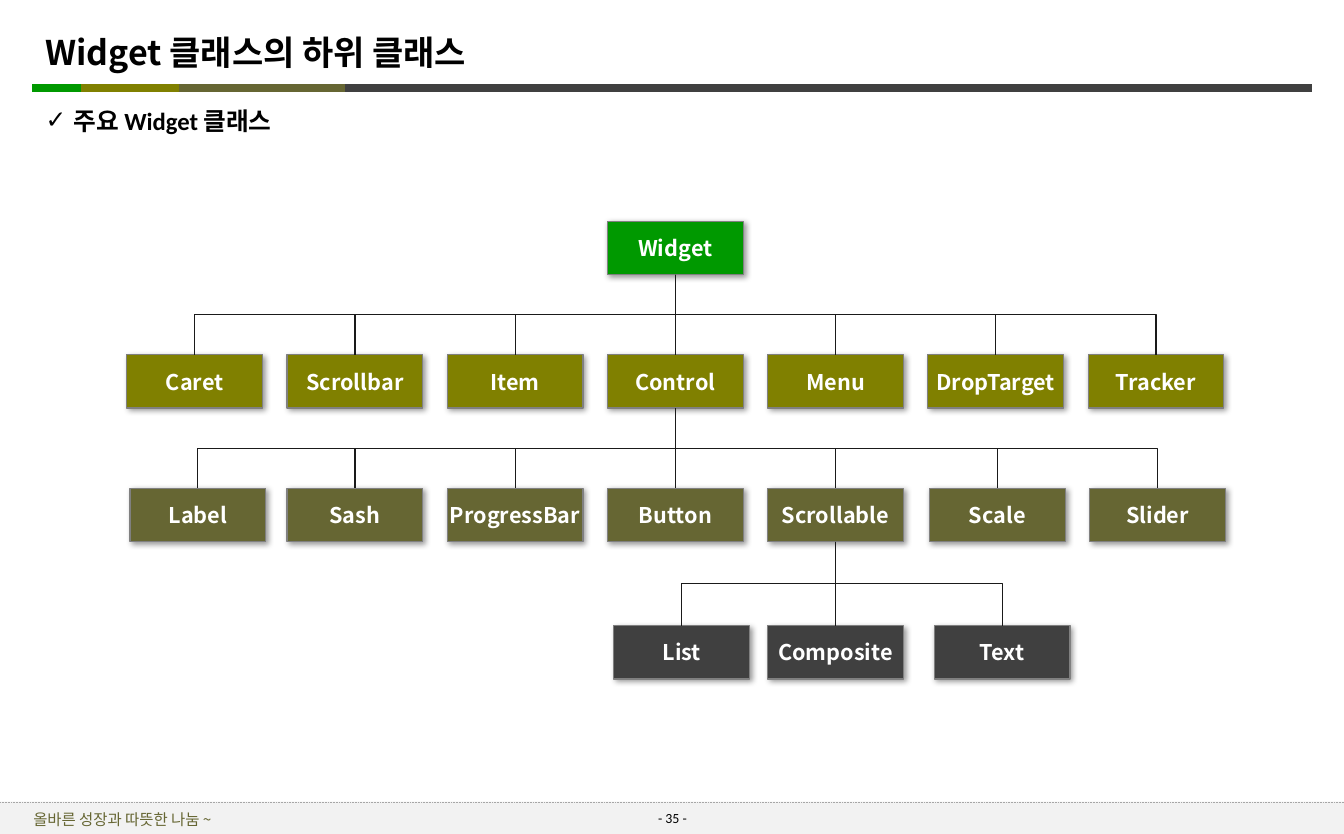
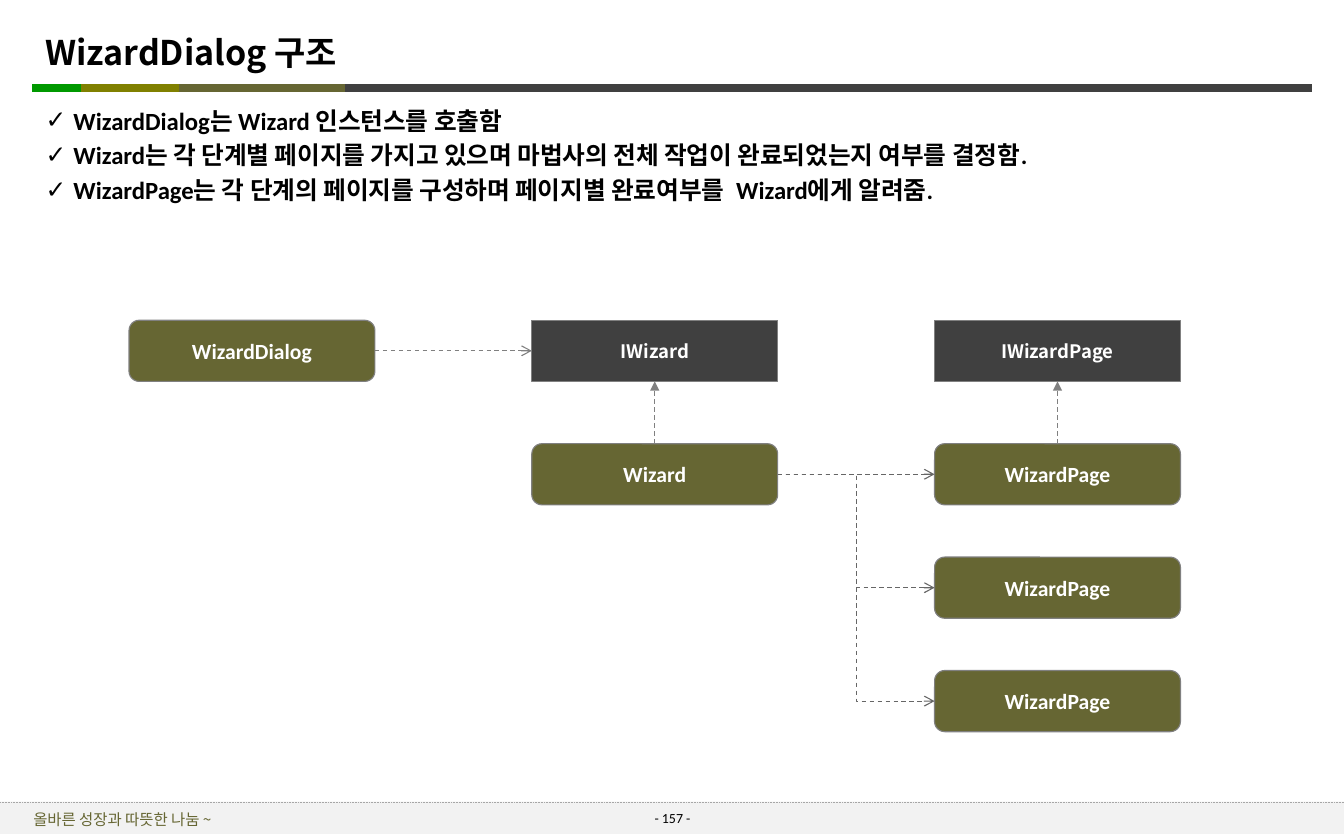
"""Build two slides on a widget class tree and a wizard dialog structure."""
from dataclasses import dataclass
from typing import Any

import pptx
import pptx.dml.color
import pptx.enum.dml
import pptx.enum.shapes
import pptx.enum.text
import pptx.oxml.ns
import pptx.util
from lxml import etree

RGB = pptx.dml.color.RGBColor
SHAPE = pptx.enum.shapes.MSO_SHAPE
LINK = pptx.enum.shapes.MSO_CONNECTOR
DASH = pptx.enum.dml.MSO_LINE
ALIGN = pptx.enum.text.PP_ALIGN
ANCHOR = pptx.enum.text.MSO_ANCHOR
AUTOSIZE = pptx.enum.text.MSO_AUTO_SIZE
qn = pptx.oxml.ns.qn
Inches = pptx.util.Inches
Pt = pptx.util.Pt

BLACK = RGB(0x00, 0x00, 0x00)
WHITE = RGB(0xFF, 0xFF, 0xFF)
GREEN = RGB(0x00, 0x99, 0x00)
OLIVE = RGB(0x80, 0x80, 0x00)
MOSS = RGB(0x66, 0x66, 0x33)
CHARCOAL = RGB(0x40, 0x40, 0x40)
INK = RGB(0x1A, 0x1A, 0x1A)
DIM_GRAY = RGB(0x66, 0x66, 0x66)
GRAY = RGB(0x80, 0x80, 0x80)
SILVER = RGB(0xA6, 0xA6, 0xA6)
PALE = RGB(0xF2, 0xF2, 0xF2)

LATIN = "Calibri"
KOREAN = "Noto Sans CJK KR"
WIDTH, HEIGHT = 12.08, 7.5
BAND_Y = 0.79
FOOTER_Y = 7.22
TOP, LEFT, BOTTOM, RIGHT = range(4)

TREE_LEFT, TREE_TOP, TREE_COL, TREE_ROW = 1.14, 1.99, 1.44, 1.2
TREE_BOX = (1.22, 0.48)
WIZARD_COLS = (1.16, 4.78, 8.4)
WIZARD_ROWS = (2.88, 3.99, 5.01, 6.03)
WIZARD_BOX = (2.21, 0.55)


@dataclass(frozen=True)
class Band:
    """A coloured stretch of the rule under the title."""
    start: float
    end: float
    color: RGB


@dataclass(frozen=True)
class Level:
    """A row of the class tree, with a column for each class."""
    row: float
    color: RGB
    parent: str
    classes: dict[str, float]


@dataclass(frozen=True)
class Part:
    """A box of the wizard structure."""
    name: str
    col: int
    row: int
    interface: bool = False


BANDS = (
    Band(2.98, 11.79, CHARCOAL),
    Band(0.29, 1.09, GREEN),
    Band(0.73, 1.66, OLIVE),
    Band(1.61, 3.1, MOSS),
)
LEVELS = (
    Level(0, GREEN, "", {"Widget": 3}),
    Level(1, OLIVE, "Widget", {
        "Caret": 0, "Scrollbar": 1, "Item": 2, "Control": 3,
        "Menu": 4, "DropTarget": 5, "Tracker": 6}),
    Level(2, MOSS, "Control", {
        "Label": 0.02, "Sash": 1, "ProgressBar": 2, "Button": 3,
        "Scrollable": 4, "Scale": 5.01, "Slider": 6.01}),
    Level(3.03, CHARCOAL, "Scrollable", {"List": 3.04, "Composite": 4, "Text": 5.04}),
)
PARTS = (
    Part("WizardDialog", 0, 0),
    Part("IWizard", 1, 0, True),
    Part("IWizardPage", 2, 0, True),
    Part("Wizard", 1, 1),
    Part("WizardPage", 2, 1),
    Part("WizardPage", 2, 2),
    Part("WizardPage", 2, 3),
)


def write(tf: Any, *lines: str, size: float, font: str = LATIN, color: RGB = BLACK,
          bold: bool = False, align: Any = ALIGN.CENTER, anchor: Any = ANCHOR.MIDDLE,
          inset: tuple[float, float] = (0.1, 0.05), wrap: bool = True,
          bullet: str = "", spacing: float | None = None) -> None:
    """Fill a text frame with one paragraph per line."""
    tf.word_wrap = wrap
    tf.auto_size = AUTOSIZE.NONE
    tf.vertical_anchor = anchor
    tf.margin_left = tf.margin_right = Inches(inset[0])
    tf.margin_top = tf.margin_bottom = Inches(inset[1])
    for i, line in enumerate(lines):
        p = tf.add_paragraph() if i else tf.paragraphs[0]
        if bullet:
            pPr = p._p.get_or_add_pPr()
            pPr.set("marL", str(Inches(0.25)))
            pPr.set("indent", str(-Inches(0.25)))
            clr = etree.SubElement(pPr, qn("a:buClr"))
            etree.SubElement(clr, qn("a:srgbClr"), val=str(color))
            etree.SubElement(pPr, qn("a:buChar"), char=bullet)
        p.alignment = align
        p.space_before = Pt(0.2 * size if i else 0)
        if spacing:
            p.line_spacing = spacing
        r = p.add_run()
        r.text = line
        r.font.size = Pt(size)
        r.font.bold = bold
        r.font.color.rgb = color
        r.font.name = font
        etree.SubElement(r._r.get_or_add_rPr(), qn("a:ea"), typeface=font)


def place(sp: Any, x: float, y: float, w: float, h: float) -> None:
    """Put a shape at a position given in inches."""
    sp.left, sp.top, sp.width, sp.height = map(Inches, (x, y, w, h))


def add_box(s: Any, kind: Any, x: float, y: float, w: float, h: float,
            fill: RGB, line: RGB | None = None, shadow: bool = False) -> Any:
    """Add a filled shape, optionally outlined and shadowed."""
    sp = s.shapes.add_shape(kind, *map(Inches, (x, y, w, h)))
    sp.fill.solid()
    sp.fill.fore_color.rgb = fill
    if line is None:
        sp.line.fill.background()
    else:
        sp.line.color.rgb = line
        sp.line.width = Pt(0.75)
    sp.shadow.inherit = False
    if shadow:
        effects = sp._element.spPr.find(qn("a:effectLst"))
        outer = etree.SubElement(effects, qn("a:outerShdw"), blurRad=str(Pt(4)),
                                 dist=str(Pt(2)), dir="2700000", algn="tl", rotWithShape="0")
        clr = etree.SubElement(outer, qn("a:srgbClr"), val=str(BLACK))
        etree.SubElement(clr, qn("a:alpha"), val="40000")
    return sp


def add_line(s: Any, start: tuple[float, float], end: tuple[float, float], color: RGB,
             width: float = 0.75, kind: Any = LINK.STRAIGHT, dash: Any = None,
             arrow: str = "") -> Any:
    """Add a connector without a shadow."""
    c = s.shapes.add_connector(kind, *map(Inches, (*start, *end)))
    c.line.color.rgb = color
    c.line.width = Pt(width)
    if dash is not None:
        c.line.dash_style = dash
    if arrow:
        etree.SubElement(c.line._get_or_add_ln(), qn("a:tailEnd"), type=arrow)
    etree.SubElement(c._element.spPr, qn("a:effectLst"))
    return c


def link(s: Any, a: Any, a_site: int, b: Any, b_site: int, color: RGB, **style: Any) -> Any:
    """Join two shapes at their connection sites."""
    c = add_line(s, (0, 0), (1, 1), color, **style)
    c.begin_connect(a, a_site)
    c.end_connect(b, b_site)
    return c


def link_down(s: Any, parent: Any, child: Any) -> None:
    """Join a parent to a child below with an elbow that leaves downwards."""
    c = link(s, parent, BOTTOM, child, TOP, INK, kind=LINK.ELBOW)
    x1, x2 = (sp.left + sp.width // 2 for sp in (parent, child))
    y1, y2 = parent.top + parent.height, child.top
    run, drop = abs(x2 - x1), y2 - y1
    c.left, c.top = (x1 + x2 - drop) // 2, (y1 + y2 - run) // 2
    c.width, c.height = drop, run
    xfrm = c._element.spPr.xfrm
    xfrm.flipH, xfrm.flipV = x2 > x1, False
    xfrm.rot = 270 if x2 > x1 else 90


def add_slide(prs: Any, title: str, number: int, *points: str) -> Any:
    """Add a slide with the title, bullets, bands and footer."""
    s = prs.slides.add_slide(prs.slide_layouts[1])
    for band in BANDS:
        add_line(s, (band.start, BAND_Y), (band.end, BAND_Y), band.color, 5)
    add_box(s, SHAPE.RECTANGLE, 0, FOOTER_Y - 0.01, WIDTH, 0.29, PALE)
    add_line(s, (0, FOOTER_Y), (WIDTH, FOOTER_Y), SILVER, 0.5, dash=DASH.ROUND_DOT)
    page = s.shapes.add_textbox(0, 0, 0, 0)
    place(page, 5.13, FOOTER_Y, 1.83, 0.26)
    write(page.text_frame, f"- {number} -", size=9, anchor=ANCHOR.TOP, spacing=1.05)
    motto = s.shapes.add_textbox(0, 0, 0, 0)
    place(motto, 0, FOOTER_Y + 0.02, 2.2, 0.26)
    write(motto.text_frame, "올바른 성장과 따뜻한 나눔 ~", size=10, font=KOREAN, color=MOSS)
    head, body = s.shapes.title, s.placeholders[1]
    place(head, 0.37, 0.15, 10, 0.63)
    write(head.text_frame, title, size=22, font=KOREAN, bold=True,
          align=ALIGN.LEFT, inset=(0.04, 0.04))
    place(body, 0.37, 0.91, 11.5, 0.03 + 0.32 * len(points))
    write(body.text_frame, *points, size=16, bold=True, align=ALIGN.LEFT,
          anchor=ANCHOR.TOP, inset=(0.04, 0.04), bullet="✓")
    return s


def build_tree(prs: Any) -> None:
    """Draw the widget class tree."""
    s = add_slide(prs, "Widget 클래스의 하위 클래스", 35, "주요 Widget 클래스")
    boxes: dict[str, Any] = {}
    for level in LEVELS:
        for name, col in level.classes.items():
            sp = add_box(s, SHAPE.RECTANGLE, TREE_LEFT + col * TREE_COL,
                         TREE_TOP + level.row * TREE_ROW, *TREE_BOX,
                         level.color, GRAY, shadow=True)
            write(sp.text_frame, name, size=14, font=KOREAN, color=WHITE, bold=True,
                  inset=(0.11, 0.05), wrap=False)
            boxes[name] = sp
            if level.parent:
                link_down(s, boxes[level.parent], sp)


def build_wizard(prs: Any) -> None:
    """Draw the wizard dialog structure."""
    s = add_slide(prs, "WizardDialog 구조", 157,
                  "WizardDialog는 Wizard 인스턴스를 호출함",
                  "Wizard는 각 단계별 페이지를 가지고 있으며 마법사의 전체 작업이 완료되었는지 여부를 결정함.",
                  "WizardPage는 각 단계의 페이지를 구성하며 페이지별 완료여부를  Wizard에게 알려줌.")
    boxes: list[Any] = []
    for part in PARTS:
        kind, fill, size, font = (
            (SHAPE.RECTANGLE, CHARCOAL, 12, KOREAN) if part.interface
            else (SHAPE.ROUNDED_RECTANGLE, MOSS, 14, LATIN))
        sp = add_box(s, kind, WIZARD_COLS[part.col], WIZARD_ROWS[part.row], *WIZARD_BOX,
                     fill, GRAY)
        write(sp.text_frame, part.name, size=size, font=font, color=WHITE, bold=True)
        boxes.append(sp)
    dialog, iwizard, ipage, wizard, *pages = boxes
    for page in pages:
        link(s, wizard, RIGHT, page, LEFT, DIM_GRAY, kind=LINK.ELBOW,
             dash=DASH.DASH, arrow="arrow")
    for child, interface in ((wizard, iwizard), (pages[0], ipage)):
        link(s, child, TOP, interface, BOTTOM, GRAY, dash=DASH.DASH, arrow="triangle")
    link(s, dialog, RIGHT, iwizard, LEFT, GRAY, dash=DASH.DASH, arrow="arrow")


def main() -> None:
    """Build and save the presentation."""
    prs = pptx.Presentation()
    prs.slide_width, prs.slide_height = Inches(WIDTH), Inches(HEIGHT)
    build_tree(prs)
    build_wizard(prs)
    prs.save("out.pptx")


if __name__ == "__main__":
    main()
